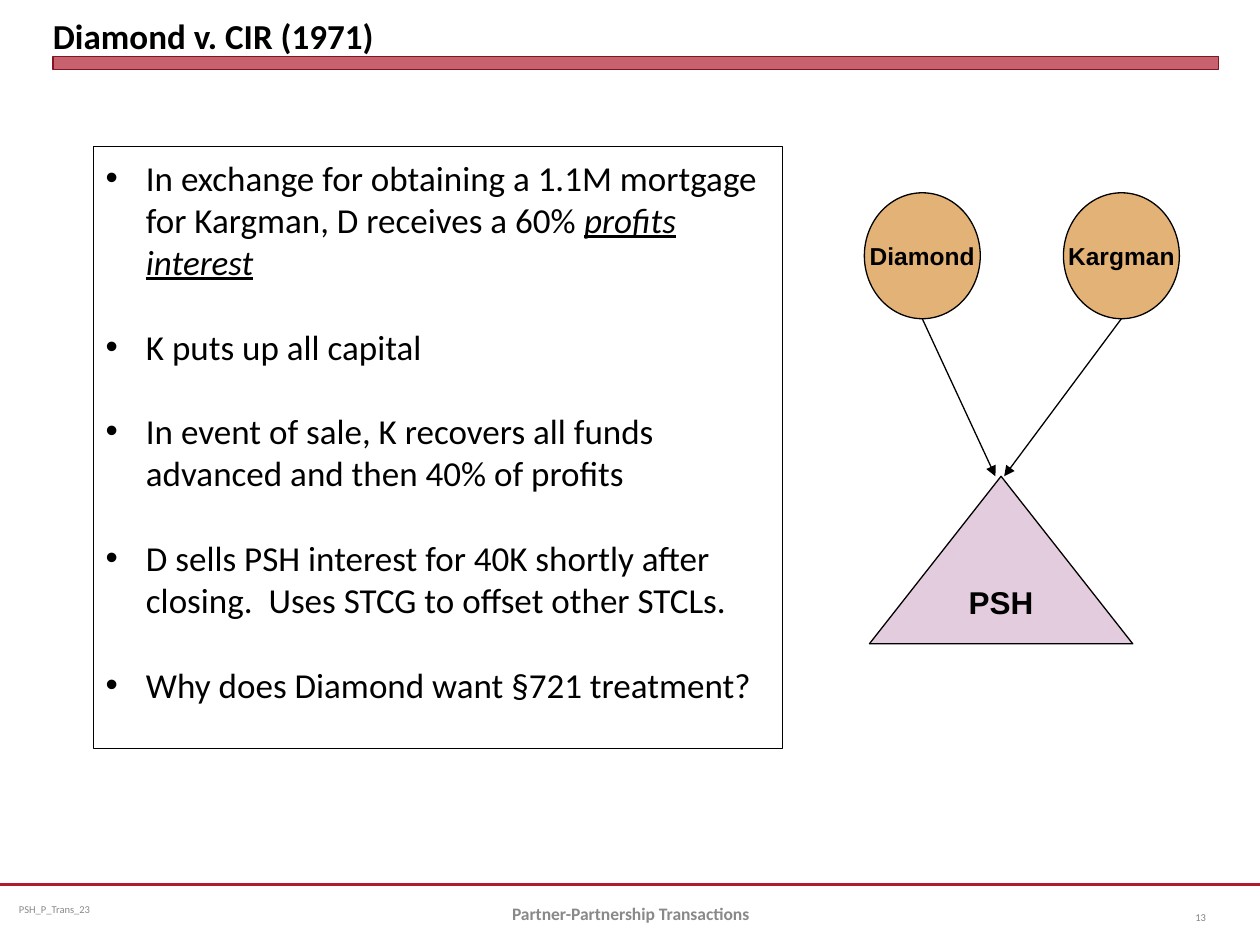
from lxml import etree
from pptx import Presentation
from pptx.dml.color import RGBColor
from pptx.enum.shapes import MSO_CONNECTOR, MSO_SHAPE
from pptx.enum.text import MSO_ANCHOR, PP_ALIGN
from pptx.oxml.ns import qn
from pptx.util import Inches, Pt

STRAIGHT = MSO_CONNECTOR.STRAIGHT
RECTANGLE, OVAL, TRIANGLE = MSO_SHAPE.RECTANGLE, MSO_SHAPE.OVAL, MSO_SHAPE.ISOSCELES_TRIANGLE
TOP, MIDDLE, BOTTOM = MSO_ANCHOR.TOP, MSO_ANCHOR.MIDDLE, MSO_ANCHOR.BOTTOM
LEFT, CENTER, RIGHT = PP_ALIGN.LEFT, PP_ALIGN.CENTER, PP_ALIGN.RIGHT

BLACK = RGBColor(0x00, 0x00, 0x00)
CRIMSON = RGBColor(0xB0, 0x1C, 0x2E)
DARK_CRIMSON = RGBColor(0x82, 0x15, 0x22)
ORANGE = RGBColor(0xE3, 0xB2, 0x76)
LILAC = RGBColor(0xE3, 0xCC, 0xDD)
GRAY = RGBColor(0x89, 0x89, 0x89)
DARK_GRAY = RGBColor(0x80, 0x80, 0x80)

presentation = Presentation()
presentation.slide_width, presentation.slide_height = Inches(10), Inches(7.5)
column, row = presentation.slide_width / 100, presentation.slide_height / 100
slide = presentation.slides.add_slide(presentation.slide_layouts[5])


def place(left, top, width, height):
    return [int(left * column), int(top * row), int(width * column), int(height * row)]


def add_line(start, end, color, width):
    line = slide.shapes.add_connector(
        STRAIGHT, int(start[0] * column), int(start[1] * row),
        int(end[0] * column), int(end[1] * row))
    line.line.color.rgb = color
    line.line.width = Pt(width)
    etree.SubElement(line._element.spPr, qn("a:effectLst"))
    return line


add_line((0, 93.6), (100, 93.6), CRIMSON, 1.25)

title_bar = slide.shapes.add_shape(RECTANGLE, *place(4.2, 6, 92.5, 1.33))
title_bar.shadow.inherit = False
title_bar.fill.solid()
title_bar.fill.fore_color.rgb = CRIMSON
fill_color = title_bar._element.spPr.find(qn("a:solidFill"))[0]
etree.SubElement(fill_color, qn("a:alpha"), val="69000")
title_bar.line.color.rgb = DARK_CRIMSON
title_bar.line.width = Pt(0)

title = slide.shapes.title
title.left, title.top, title.width, title.height = place(4.2, 0.67, 92.5, 5.33)
frame = title.text_frame
frame.margin_left = frame.margin_right = frame.margin_top = frame.margin_bottom = 0
frame.vertical_anchor = BOTTOM
frame.text = "Diamond v. CIR (1971)"
paragraph = frame.paragraphs[0]
paragraph.alignment = LEFT
paragraph.font.name, paragraph.font.size, paragraph.font.bold = "Calibri", Pt(20), True
paragraph.font.color.rgb = BLACK

apex_row, partner_bottom = 50.4, 33.73
entities = [
    ("Diamond", OVAL, (68.6, 20.4, 9.2, 13.33), ORANGE, 14),
    ("Kargman", OVAL, (84.4, 20.4, 9.2, 13.33), ORANGE, 14),
    ("PSH", TRIANGLE, (69, apex_row, 20.9, 13.33 * 1.33), LILAC, 18),
]
for name, kind, box, color, size in entities:
    entity = slide.shapes.add_shape(kind, *place(*box))
    entity.shadow.inherit = False
    entity.fill.solid()
    entity.fill.fore_color.rgb = color
    entity.line.color.rgb = BLACK
    entity.line.width = Pt(0.75)
    entity.text_frame.word_wrap = False
    entity.text_frame.vertical_anchor = MIDDLE
    entity.text_frame.text = name
    paragraph = entity.text_frame.paragraphs[0]
    paragraph.alignment = CENTER
    paragraph.font.name, paragraph.font.size, paragraph.font.bold = "Arial", Pt(size), True
    paragraph.font.color.rgb = BLACK

for partner_center, arrow_tip in [(73.2, 79), (89, 79.7)]:
    arrow = add_line((partner_center, partner_bottom), (arrow_tip, apex_row), BLACK, 0.75)
    etree.SubElement(arrow.line._get_or_add_ln(), qn("a:tailEnd"), type="triangle")

facts = [
    ("In exchange for obtaining a 1.1M mortgage for Kargman, D receives a 60% ", "profits interest"),
    ("K puts up all capital", ""),
    ("In event of sale, K recovers all funds advanced and then 40% of profits", ""),
    ("D sells PSH interest for 40K shortly after closing.  Uses STCG to offset other STCLs.", ""),
    ("Why does Diamond want §721 treatment?", ""),
]
facts_box = slide.shapes.add_shape(RECTANGLE, *place(7.4, 15.47, 54.7, 63.73))
facts_box.shadow.inherit = False
facts_box.fill.background()
facts_box.line.color.rgb = BLACK
facts_box.line.width = Pt(0.5)
frame = facts_box.text_frame
frame.word_wrap = True
frame.vertical_anchor = TOP
frame.margin_top = Inches(0.08)
for index, (fact, emphasis) in enumerate(facts):
    paragraph = frame.add_paragraph() if index else frame.paragraphs[0]
    paragraph.alignment = LEFT
    if index:
        paragraph.space_before = Pt(24.4)
    properties = paragraph._p.get_or_add_pPr()
    properties.set("marL", str(Inches(0.32)))
    properties.set("indent", str(-Inches(0.32)))
    etree.SubElement(properties, qn("a:buFont"), typeface="Arial")
    etree.SubElement(properties, qn("a:buChar"), char="•")
    paragraph.font.name, paragraph.font.size = "Calibri", Pt(20)
    paragraph.font.color.rgb = BLACK
    paragraph.add_run().text = fact
    if emphasis:
        run = paragraph.add_run()
        run.text = emphasis
        run.font.italic = run.font.underline = True

footers = [
    ("PSH_P_Trans_23", (0.8, 93.6, 25.8, 5.33), LEFT, 6, False, GRAY, 0.07),
    ("Partner-Partnership Transactions", (34.2, 94, 31.7, 5.33), CENTER, 10, True, GRAY, 0.1),
    ("13", (91.7, 94.4, 5, 5.33), RIGHT, 6, False, DARK_GRAY, 0.1),
]
for text, box, alignment, size, bold, color, margin in footers:
    frame = slide.shapes.add_textbox(*place(*box)).text_frame
    frame.word_wrap = True
    frame.vertical_anchor = MIDDLE
    frame.margin_left = frame.margin_right = Inches(margin)
    frame.text = text
    paragraph = frame.paragraphs[0]
    paragraph.alignment = alignment
    paragraph.font.name, paragraph.font.size, paragraph.font.bold = "Calibri", Pt(size), bold
    paragraph.font.color.rgb = color

presentation.save("out.pptx")
